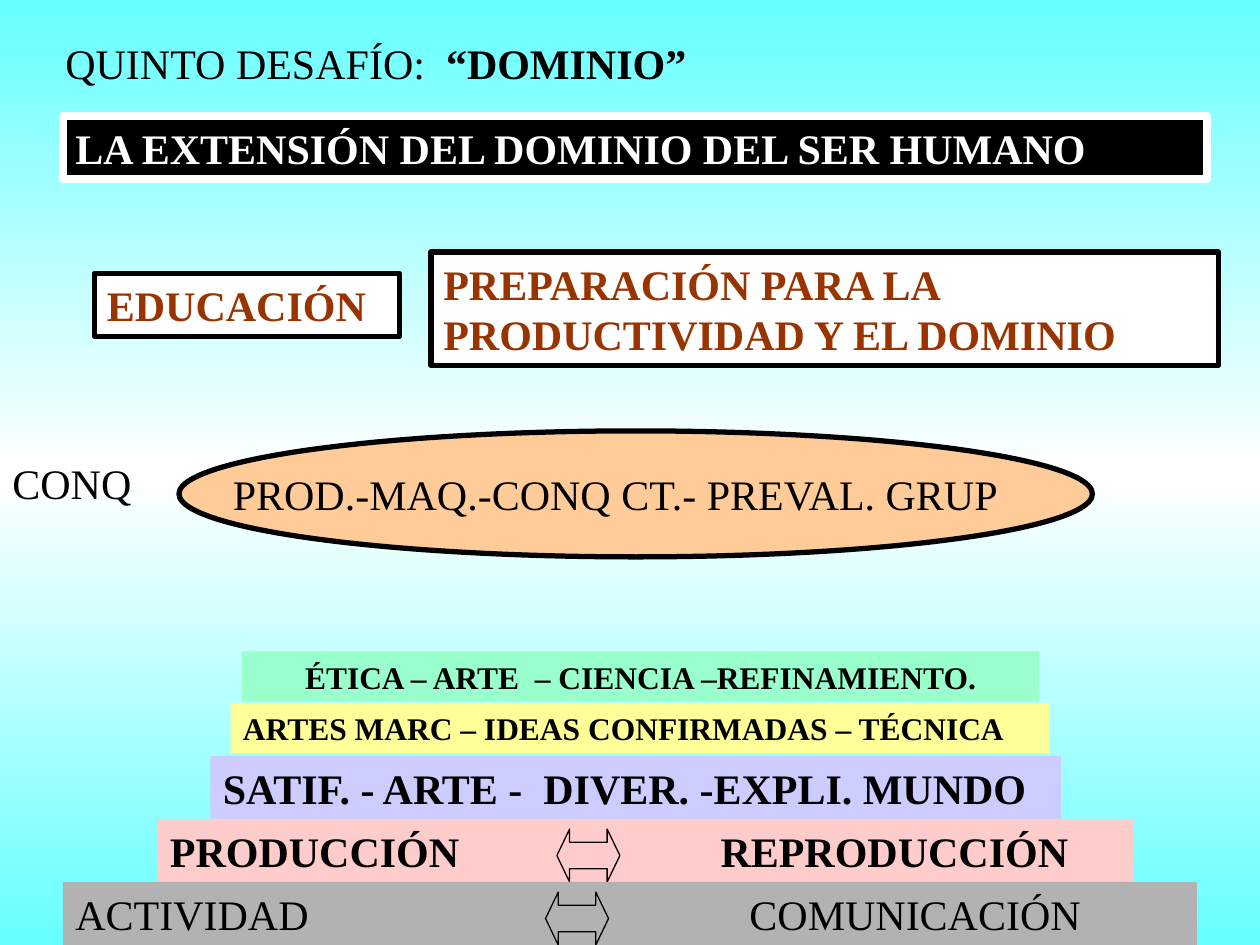
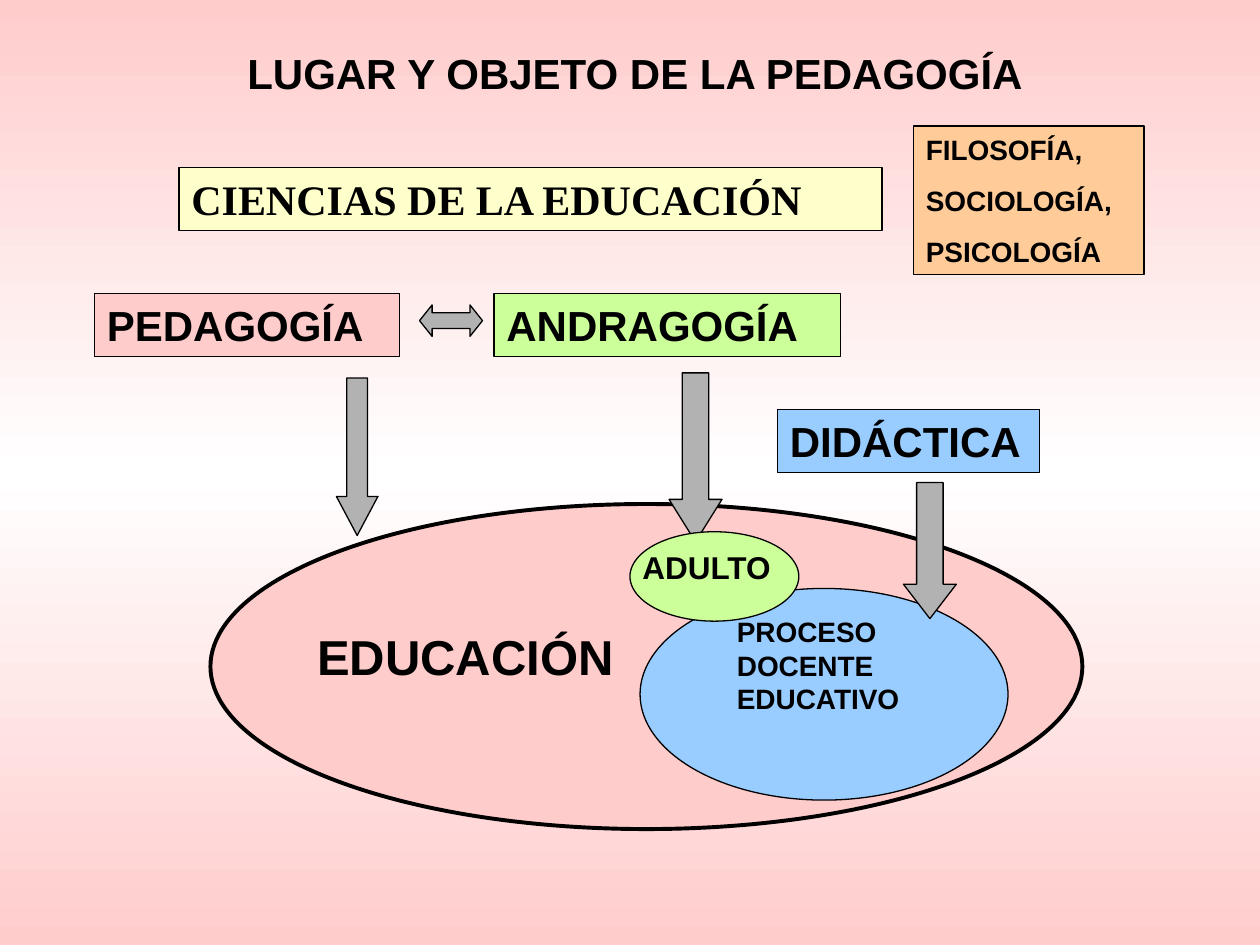
from copy import deepcopy

from lxml.etree import SubElement
from pptx import Presentation
from pptx.dml.color import RGBColor
from pptx.enum.shapes import MSO_SHAPE as Shape
from pptx.enum.text import MSO_ANCHOR as Anchor, MSO_AUTO_SIZE as AutoSize, PP_ALIGN as Align
from pptx.oxml.ns import qn
from pptx.util import Inches, Pt

COLORS = {
    "black": "000000", "white": "FFFFFF", "brown": "993300", "gray": "B2B2B2",
    "aqua": "66FFFF", "pink": "FFCCCC", "peach": "FFCC99", "lavender": "CCCCFF",
    "yellow": "FFFF99", "cream": "FFFFCC", "mint": "99FFCC", "lime": "CCFF99",
    "blue": "99CCFF",
}
SERIF = "Times New Roman"
SANS = "Arial"
SPACE_BEFORE_RATIO = 0.625


def color(name):
    return RGBColor.from_string(COLORS[name])


def add_slide(presentation, edge_color):
    slide = presentation.slides.add_slide(presentation.slide_layouts[6])
    fill = slide.background.fill
    fill.gradient()
    fill.gradient_angle = 270
    stop_list = next(slide.element.iter(qn("a:gsLst")))
    stop_list.insert(1, deepcopy(stop_list[0]))
    for stop, name, position in zip(fill.gradient_stops, (edge_color, "white", edge_color), (0, 0.5, 1)):
        stop.color.rgb = color(name)
        stop.position = position
    return slide


def write(shape, text, size=24, font=SANS, bold=True, font_color="black", align=Align.LEFT):
    frame = shape.text_frame
    frame.word_wrap = True
    frame.auto_size = AutoSize.SHAPE_TO_FIT_TEXT
    frame.vertical_anchor = Anchor.TOP
    frame.text = text
    for paragraph in frame.paragraphs:
        paragraph.alignment = align
        paragraph.space_before = Pt(size * SPACE_BEFORE_RATIO)
        paragraph.font.size = Pt(size)
        paragraph.font.name = font
        paragraph.font.bold = bold
        paragraph.font.color.rgb = color(font_color)


def add_label(slide, box, text, **style):
    label = slide.shapes.add_textbox(*map(Inches, box))
    write(label, text, **style)
    return label


def add_figure(slide, kind, box, fill, line="black", width=0.75):
    figure = slide.shapes.add_shape(kind, *map(Inches, box))
    figure.shadow.inherit = False
    figure.fill.solid()
    figure.fill.fore_color.rgb = color(fill)
    if line:
        figure.line.color.rgb = color(line)
        figure.line.width = Pt(width)
    else:
        figure.line.fill.background()
    return figure


def add_box(slide, box, text, fill, line="black", width=0.75, **style):
    figure = add_figure(slide, Shape.RECTANGLE, box, fill, line, width)
    write(figure, text, **style)
    return figure


def add_arrow(slide, kind, box, head, fill="gray"):
    arrow = add_figure(slide, kind, box, fill)
    arrow.adjustments[0] = 0.5
    arrow.adjustments[1] = head


def set_tab(shape, position):
    properties = shape.text_frame.paragraphs[0]._p.get_or_add_pPr()
    tabs = SubElement(properties, qn("a:tabLst"))
    SubElement(tabs, qn("a:tab"), pos=str(Inches(position)), algn="l")
    properties.find(qn("a:defRPr")).addprevious(tabs)


def add_paired_band(slide, box, left_text, right_text, tab, arrow_left, fill, bold):
    band = add_box(slide, box, f"{left_text}\t{right_text}", fill, line=None, font=SERIF, bold=bold)
    set_tab(band, tab)
    add_arrow(slide, Shape.LEFT_RIGHT_ARROW, (arrow_left, box[1] + 0.08, 0.5, 0.42), 0.24, fill)


def build_dominio(presentation):
    slide = add_slide(presentation, "aqua")
    title = add_label(slide, (0.42, 0.25, 7.67, 0.5), "QUINTO DESAFÍO:  ", font=SERIF, bold=False)
    keyword = title.text_frame.paragraphs[0].add_run()
    keyword.text = "“DOMINIO”"
    keyword.font.bold = True
    add_box(slide, (0.5, 0.92, 9.08, 0.5), "LA EXTENSIÓN DEL DOMINIO DEL SER HUMANO",
            "black", "white", 4.5, font=SERIF, font_color="white")
    for box, text in (
        ((0.75, 2.17, 2.42, 0.5), "EDUCACIÓN"),
        ((3.42, 2, 6.25, 0.9), "PREPARACIÓN PARA LA PRODUCTIVIDAD Y EL DOMINIO"),
    ):
        add_box(slide, box, text, "white", width=3, font=SERIF, font_color="brown")

    add_figure(slide, Shape.OVAL, (1.42, 3.42, 7.25, 1), "peach", width=3)
    add_label(slide, (0, 3.58, 1.17, 0.5), "CONQ", font=SERIF, bold=False)
    add_label(slide, (1.75, 3.67, 6.5, 0.5), "PROD.-MAQ.-CONQ CT.- PREVAL. GRUP", font=SERIF, bold=False)

    for box, text, fill, size, align in (
        ((1.92, 5.17, 6.33, 0.4), "ÉTICA – ARTE  – CIENCIA –REFINAMIENTO.", "mint", 18, Align.CENTER),
        ((1.83, 5.58, 6.5, 0.4), "ARTES MARC – IDEAS CONFIRMADAS – TÉCNICA", "yellow", 18, Align.LEFT),
        ((1.67, 6, 6.75, 0.5), "SATIF. - ARTE -  DIVER. -EXPLI. MUNDO", "lavender", 24, Align.LEFT),
    ):
        add_box(slide, box, text, fill, line=None, size=size, font=SERIF, align=align)
    add_paired_band(slide, (1.25, 6.5, 7.75, 0.5), "PRODUCCIÓN", "REPRODUCCIÓN", 4.37, 4.42, "pink", True)
    add_paired_band(slide, (0.5, 7, 9, 0.5), "ACTIVIDAD", "COMUNICACIÓN", 5.35, 4.33, "gray", False)


def build_pedagogia(presentation):
    slide = add_slide(presentation, "pink")
    add_label(slide, (0.5, 0.33, 9.08, 0.5), "LUGAR Y OBJETO DE LA PEDAGOGÍA", align=Align.CENTER)
    add_box(slide, (1.42, 1.33, 5.58, 0.5), "CIENCIAS DE LA EDUCACIÓN", "cream", font=SERIF)
    add_box(slide, (7.25, 1, 1.83, 1.18), "FILOSOFÍA,\nSOCIOLOGÍA,\nPSICOLOGÍA", "peach", size=16)
    for box, text, fill in (
        ((0.75, 2.33, 2.42, 0.5), "PEDAGOGÍA", "pink"),
        ((3.92, 2.33, 2.75, 0.5), "ANDRAGOGÍA", "lime"),
        ((6.17, 3.25, 2.08, 0.5), "DIDÁCTICA", "blue"),
    ):
        add_box(slide, box, text, fill)

    add_figure(slide, Shape.OVAL, (1.67, 4, 6.92, 2.58), "pink", width=2.25)
    add_label(slide, (2.42, 4.92, 2.83, 0.57), "EDUCACIÓN", size=28)
    add_figure(slide, Shape.OVAL, (5.08, 4.67, 2.92, 1.68), "blue")
    add_label(slide, (5.75, 4.83, 1.92, 0.9), "PROCESO DOCENTE EDUCATIVO", size=16)

    add_arrow(slide, Shape.LEFT_RIGHT_ARROW, (3.33, 2.42, 0.5, 0.25), 0.4)
    for box, head in (
        ((2.67, 3, 0.33, 1.25), 0.94),
        ((5.31, 2.96, 0.42, 1.34), 0.8),
        ((7.17, 3.83, 0.42, 1.08), 0.65),
    ):
        add_arrow(slide, Shape.DOWN_ARROW, box, head)
    add_figure(slide, Shape.OVAL, (5, 4.22, 1.34, 0.71), "lime")
    add_label(slide, (5, 4.3, 1.34, 0.4), "ADULTO", size=18)


def main():
    presentation = Presentation()
    presentation.slide_width = Inches(10)
    presentation.slide_height = Inches(7.5)
    build_dominio(presentation)
    build_pedagogia(presentation)
    presentation.save("out.pptx")


if __name__ == "__main__":
    main()
